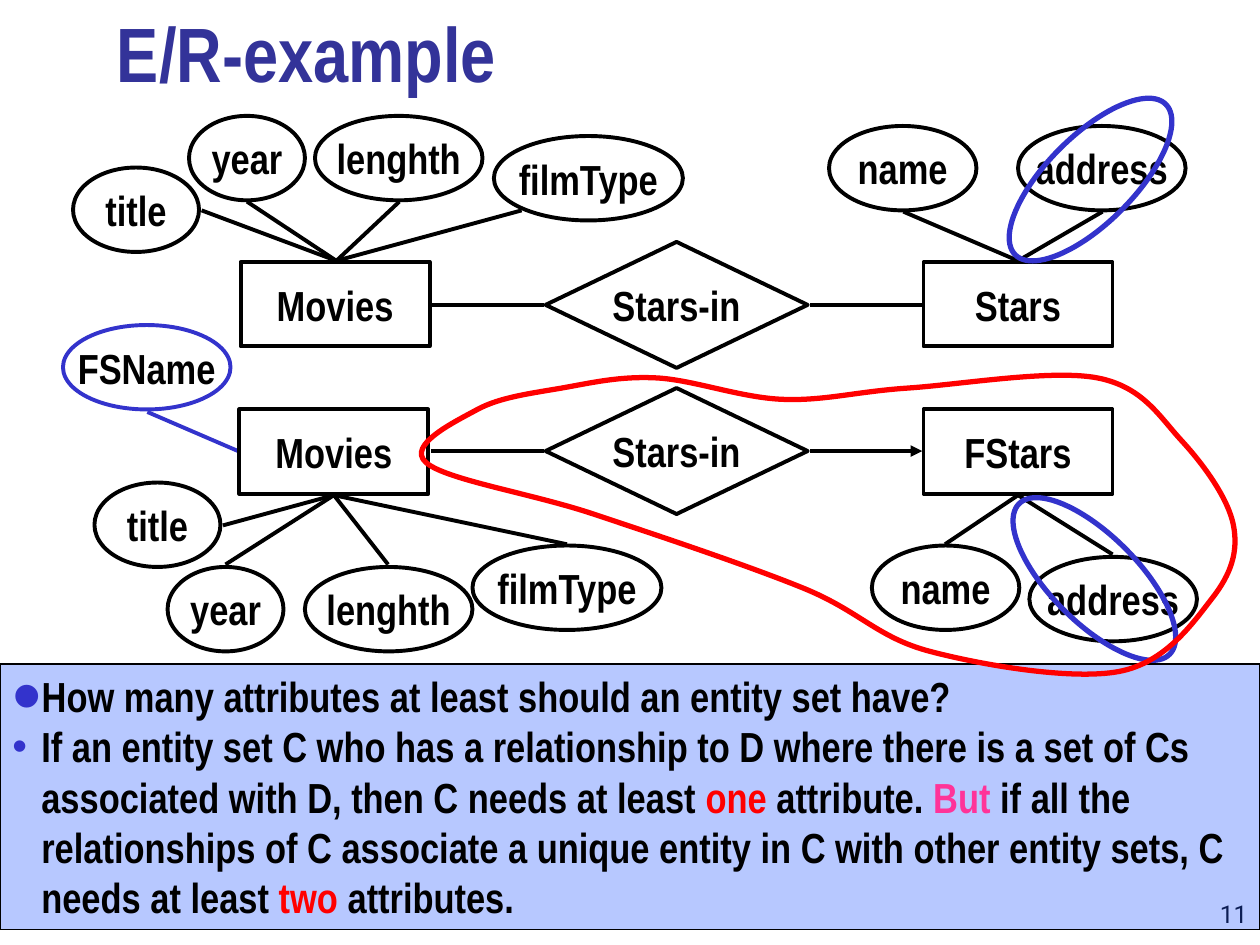
from typing import NamedTuple

from lxml import etree
from pptx import Presentation, util as u
from pptx.dml.color import RGBColor
from pptx.enum import shapes, text
from pptx.oxml import ns

HUE = {"ink": "000000", "title": "333399", "blue": "3333CC", "red": "FF0000",
       "pink": "FF3399", "panel": "2559FF"}
KIND = shapes.MSO_SHAPE
ALIGN, ANCHOR = text.PP_ALIGN, text.MSO_ANCHOR
FACE = "Arial Narrow"
TALL = 0.67


class Node(NamedTuple):
    kind: KIND
    label: str
    left: float
    top: float
    width: float
    height: float = TALL
    hue: str = "ink"
    thick: float = 2.25
    turn: float = 0


class Fan(NamedTuple):
    """Lines from one hub to several ends."""
    hub: tuple
    ends: list
    hue: str = "ink"
    arrow: bool = False


def entity(label: str, left: float, top: float) -> Node:
    return Node(KIND.RECTANGLE, label, left, top, 1.5)


def field(label: str, left: float, top: float, width: float, hue: str = "ink") -> Node:
    return Node(KIND.OVAL, label, left, top, width, hue=hue)


def link(top: float) -> Node:
    return Node(KIND.FLOWCHART_DECISION, "Stars-in", 4.33, top, 2.08, 1)


def loop(left: float, top: float, turn: float) -> Node:
    return Node(KIND.OVAL, "", left, top, 1.69, 0.69, "blue", 3, turn)


NODES = [
    entity("Movies", 1.91, 2.08), entity("Stars", 7.33, 2.08), link(1.92),
    field("title", 0.58, 1.33, 1), field("year", 1.5, 0.92, 0.92),
    field("lenghth", 2.5, 0.92, 1.33), field("filmType", 3.92, 1.08, 1.5),
    field("name", 6.58, 1, 1.17), field("address", 8.08, 1, 1.33),
    entity("Movies", 1.9, 3.25), entity("FStars", 7.33, 3.25), link(3.08),
    field("title", 0.75, 3.83, 1), field("year", 1.33, 4.5, 0.92),
    field("lenghth", 2.42, 4.5, 1.33), field("filmType", 3.75, 4.33, 1.5),
    field("name", 6.92, 4.33, 1.17), field("address", 8.17, 4.42, 1.33),
    field("FSName", 0.5, 2.58, 1.33, "blue"),
    loop(7.81, 1.08, 135), loop(7.84, 4.25, 45),
]
FANS = [
    Fan((2.67, 2.07), [(3.17, 1.6), (4.14, 1.67), (1.6, 1.67), (1.96, 1.6)]),
    Fan((8.08, 2.07), [(7.17, 1.68), (8.75, 1.68)]),
    Fan((3.43, 2.42), [(4.32, 2.42)]),
    Fan((6.43, 2.42), [(7.32, 2.42)]),
    Fan((2.65, 3.93), [(3.08, 4.48), (4.5, 4.32), (1.77, 4.17), (1.79, 4.48)]),
    Fan((8.08, 3.93), [(7.5, 4.32), (8.83, 4.4)]),
    Fan((3.42, 3.58), [(4.32, 3.58)]),
    Fan((6.43, 3.58), [(7.32, 3.58)], arrow=True),
    Fan((1.89, 3.58), [(1.17, 3.27)], "blue"),
]
KNOTS = [(4.46, 3.08), (3.79, 3.25), (3.38, 3.67), (4.71, 4.08), (6.38, 4.67),
         (7.38, 5.17), (8.88, 5.33), (9.62, 4.75), (9.79, 4.17), (9.38, 3.5),
         (8.71, 3), (7.21, 3.08), (6.21, 3.17), (5.21, 3)]
NOTES = [
    (200, [("How many attributes at least should an entity set have?", "ink")]),
    (100, [("If an entity set C who has a relationship to D where there is a set of Cs "
            "associated with D, then C needs at least ", "ink"),
           ("one", "red"), (" attribute. ", "ink"), ("But", "pink"),
           (" if all the relationships of C associate a unique entity in C with other "
            "entity sets, C needs at least ", "ink"),
           ("two", "red"), (" attributes.", "ink")]),
]


def rgb(hue: str) -> RGBColor:
    return RGBColor.from_string(HUE[hue])


def add(parent, tag: str, **attrs: str):
    return etree.SubElement(parent, ns.qn(tag), attrs)


def write(para, words: str, hue: str = "ink", size: float = 24,
          face: str = FACE, bold: bool = True) -> None:
    run = para.add_run()
    run.text = words
    style = {"size": u.Pt(size), "name": face, "bold": bold}
    for key, value in style.items():
        setattr(run.font, key, value)
    run.font.color.rgb = rgb(hue)


def stroke(shape, hue: str, thick: float) -> None:
    shape.line.color.rgb = rgb(hue)
    shape.line.width = u.Pt(thick)


def label(slide, box: tuple, words: str, align: ALIGN, **style) -> None:
    """Add a text box whose text sits on its bottom edge."""
    frame = slide.shapes.add_textbox(*map(u.Inches, box)).text_frame
    frame.word_wrap = True
    frame.vertical_anchor = ANCHOR.BOTTOM
    frame.paragraphs[0].alignment = align
    write(frame.paragraphs[0], words, **style)


def draw_node(slide, node: Node) -> None:
    shape = slide.shapes.add_shape(node.kind, *map(u.Inches, node[2:6]))
    shape.shadow.inherit = False
    shape.fill.background()
    shape.rotation = node.turn
    stroke(shape, node.hue, node.thick)
    if node.label:
        frame = shape.text_frame
        frame.word_wrap = False
        frame.vertical_anchor = ANCHOR.MIDDLE
        frame.paragraphs[0].alignment = ALIGN.CENTER
        write(frame.paragraphs[0], node.label)


def draw_fan(slide, fan: Fan) -> None:
    for end in fan.ends:
        line = slide.shapes.add_connector(
            shapes.MSO_CONNECTOR.STRAIGHT, *map(u.Inches, fan.hub + end))
        stroke(line, fan.hue, 2.25)
        if fan.arrow:
            add(line.line._get_or_add_ln(), "a:tailEnd", type="triangle")
        add(line._element.spPr, "a:effectLst")


def bezier(knots: list) -> list:
    """Give two handles and an end for each arc of a closed Catmull-Rom curve."""
    dots = []
    for i in range(len(knots)):
        four = [knots[(i + k) % len(knots)] for k in (-1, 0, 1, 2)]
        arc = [(b + (c - a) / 6, c - (d - b) / 6, c) for a, b, c, d in zip(*four)]
        dots += zip(*arc)
    return [tuple(map(u.Inches, dot)) for dot in dots]


def draw_ring(slide) -> None:
    dots = bezier(KNOTS)
    pen = slide.shapes.build_freeform(*dots[-1])
    pen.add_line_segments(dots, close=True)
    ring = pen.convert_to_shape()
    steps = list(ring._element.iter(ns.qn("a:lnTo")))
    for first in range(0, len(steps), 3):
        arc = etree.Element(ns.qn("a:cubicBezTo"))
        steps[first].addprevious(arc)
        for step in steps[first:first + 3]:
            arc.append(step[0])
            step.getparent().remove(step)
    ring.shadow.inherit = False
    ring.fill.background()
    stroke(ring, "red", 3)


def draw_panel(slide) -> None:
    panel = slide.shapes.add_shape(KIND.RECTANGLE, *map(u.Inches, (0, 5.27, 10, 2.11)))
    panel.shadow.inherit = False
    panel.fill.solid()
    panel.fill.fore_color.rgb = rgb("panel")
    tint = panel._element.spPr.find(".//" + ns.qn("a:srgbClr"))
    add(tint, "a:alpha", val="33000")
    stroke(panel, "ink", 0.75)
    frame = panel.text_frame
    frame.word_wrap = True
    frame.vertical_anchor = ANCHOR.TOP
    for i, (scale, runs) in enumerate(NOTES):
        para = frame.add_paragraph() if i else frame.paragraphs[0]
        para.alignment = ALIGN.LEFT
        props = para._p.get_or_add_pPr()
        dent = u.Inches(0.23)
        props.set("marL", str(dent))
        props.set("indent", str(-dent))
        add(add(props, "a:buClr"), "a:srgbClr", val=HUE["blue"])
        add(props, "a:buSzPct", val=str(scale * 1000))
        add(props, "a:buFont", typeface="Arial")
        add(props, "a:buChar", char="•")
        for words, hue in runs:
            write(para, words, hue)


def main() -> None:
    deck = Presentation()
    deck.slide_width, deck.slide_height = u.Inches(10), u.Inches(7.5)
    slide = deck.slides.add_slide(deck.slide_layouts[6])
    label(slide, (9.33, 6.92, 0.67, 0.5), "11", ALIGN.RIGHT,
          size=14, face="Roboto", bold=False)
    draw_panel(slide)
    label(slide, (0.83, 0.08, 8.52, 0.75), "E/R-example", ALIGN.LEFT,
          hue="title", size=44)
    for fan in FANS:
        draw_fan(slide, fan)
    for node in NODES:
        draw_node(slide, node)
    draw_ring(slide)
    deck.save("out.pptx")


if __name__ == "__main__":
    main()
